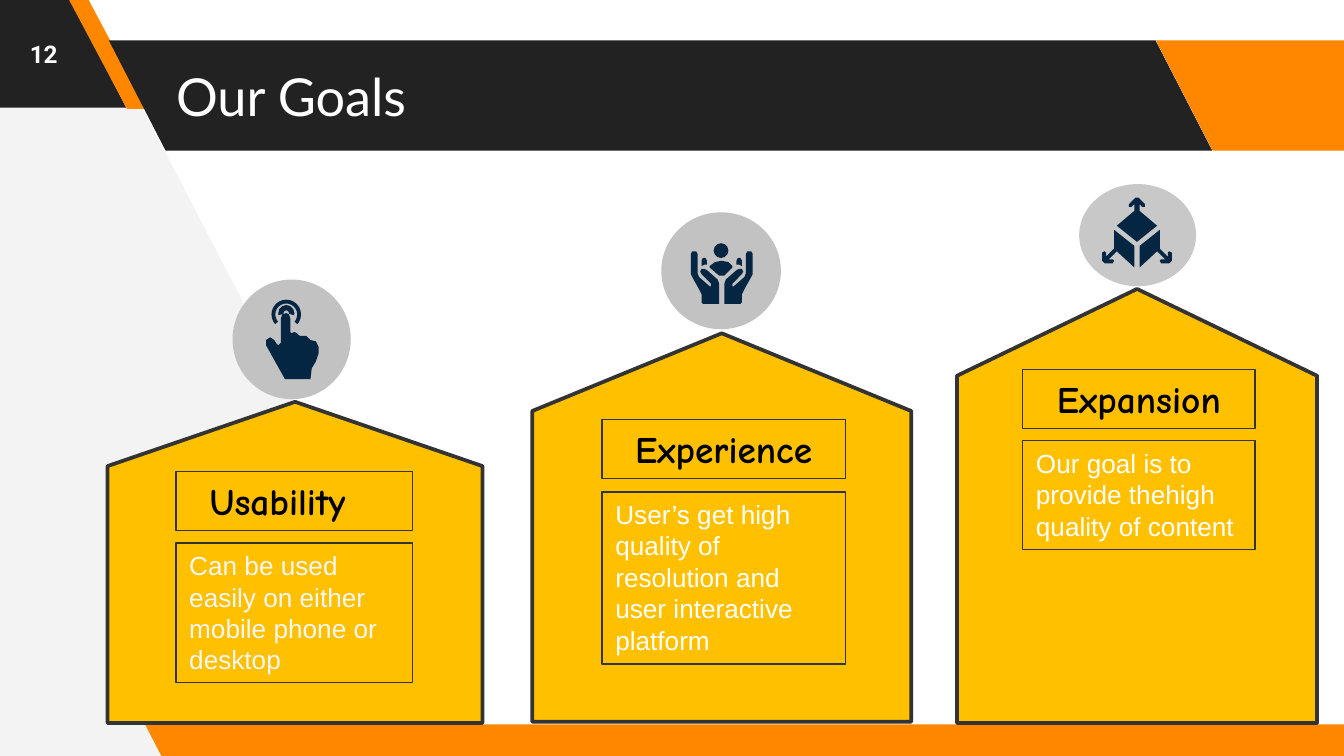
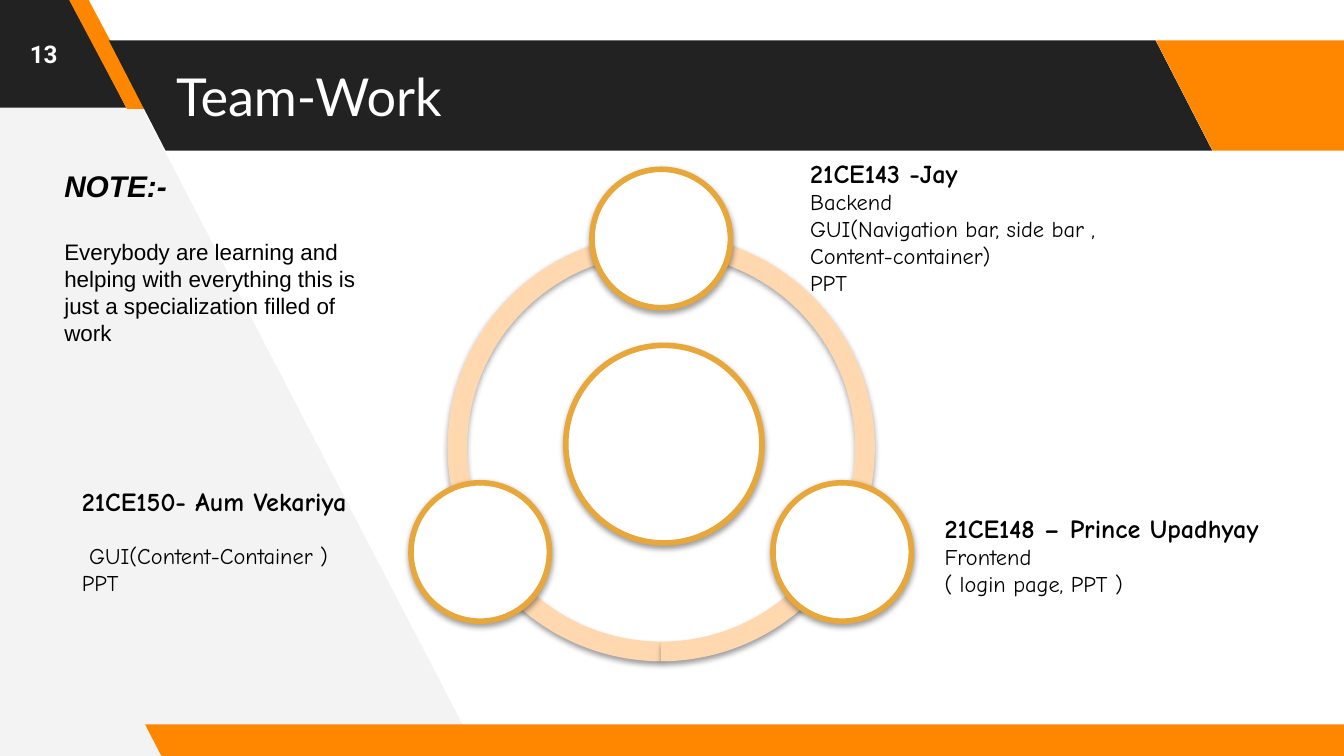
import math
from dataclasses import dataclass

from lxml import etree
from pptx import Presentation
from pptx.dml.color import RGBColor
from pptx.enum.shapes import MSO_SHAPE
from pptx.enum.text import MSO_ANCHOR, MSO_AUTO_SIZE, PP_ALIGN
from pptx.oxml.ns import qn
from pptx.util import Inches, Pt

ELLIPSE, RECT, ARC = MSO_SHAPE.OVAL, MSO_SHAPE.RECTANGLE, MSO_SHAPE.BLOCK_ARC
SLANTED, HOUSE = MSO_SHAPE.PARALLELOGRAM, MSO_SHAPE.FLOWCHART_OFFPAGE_CONNECTOR
TOP, MIDDLE = MSO_ANCHOR.TOP, MSO_ANCHOR.MIDDLE
LEFT, CENTER = PP_ALIGN.LEFT, PP_ALIGN.CENTER
NO_AUTOFIT = MSO_AUTO_SIZE.NONE
TITLE_ONLY = 5

COLORS = {
    "white": "FFFFFF", "black": "000000", "dark": "222222", "orange": "FF8700",
    "side": "F3F3F3", "gold": "FFC000", "edge": "333333", "mist": "F6F6F6",
    "disc": "C2C2C2", "pale disc": "C8C8C8", "navy": "052643",
    "ring": "FFD8B0", "amber": "E7A73A",
}
BODY, HAND, TITLE, NUMBER = "Arial", "Comic Neue", "Lato", "Roboto"

Box = tuple[float, float, float, float]
Points = list[tuple[float, float]]


@dataclass(frozen=True)
class Band:
    box: Box
    color: str
    slant: float = 0.515


@dataclass(frozen=True)
class Goal:
    name: str
    detail: str
    house: Box
    name_box: Box
    detail_top: float
    detail_height: float
    disc: Box
    disc_color: str = "disc"
    detail_color: str = "white"
    name_align: int = CENTER
    name_inset: float = 0.1


@dataclass(frozen=True)
class Note:
    box: Box
    heading: str
    lines: tuple[str, ...]
    gap: float = 0
    font: str = HAND
    heading_size: int = 14
    italic: bool = False


BANDS = (
    Band((-0.99, -0.02, 1.93, 0.82), "dark"),
    Band((0.51, -0.01, 0.58, 0.82), "orange", 0.75),
    Band((0.81, 0.3, 8.21, 0.82), "dark"),
    Band((8.6, 0.3, 1.92, 0.82), "orange"),
    Band((1.08, 5.39, 9.15, 0.25), "orange"),
)
SIDE_PANEL = [(-0.06, -0.04), (0.62, -0.04), (3.56, 5.62), (-0.02, 5.66)]

GOALS = (
    Goal("Usability", "Can be used easily on either mobile phone or desktop",
         (0.8, 2.99, 2.79, 2.39), (1.31, 3.51, 1.76, 0.44), 4.04, 1.04,
         (1.73, 2.08, 0.88, 0.89), detail_color="mist",
         name_align=LEFT, name_inset=0.25),
    Goal("Experience",
         "User’s get high quality of resolution and user interactive platform",
         (3.96, 2.48, 2.82, 2.89), (4.48, 3.12, 1.81, 0.44), 3.66, 1.28,
         (4.92, 1.58, 0.89, 0.87)),
    Goal("Expansion", "Our goal is to provide thehigh quality of content",
         (7.12, 2.15, 2.68, 3.23), (7.61, 2.75, 1.73, 0.44), 3.28, 0.81,
         (8.03, 1.37, 0.87, 0.76), disc_color="pale disc"),
)

POINTING_HAND = [
    (2.09, 2.37), (2.1, 2.34), (2.13, 2.33), (2.15, 2.34), (2.16, 2.37),
    (2.16, 2.47), (2.17, 2.48), (2.19, 2.47), (2.21, 2.48), (2.23, 2.5),
    (2.26, 2.5), (2.28, 2.5), (2.3, 2.52), (2.31, 2.53), (2.35, 2.54),
    (2.37, 2.58), (2.37, 2.63), (2.35, 2.69), (2.32, 2.74), (2.31, 2.82),
    (2.12, 2.82), (1.98, 2.57), (1.98, 2.53), (2.01, 2.51), (2.04, 2.53),
    (2.06, 2.56), (2.07, 2.57), (2.09, 2.55),
]
CARING_HAND = [
    (5.14, 1.89), (5.15, 1.87), (5.16, 1.87), (5.18, 1.87), (5.19, 1.89),
    (5.19, 2.03), (5.2, 2.06), (5.28, 2.13), (5.29, 2.13), (5.29, 2.11),
    (5.22, 2.04), (5.21, 2.02), (5.22, 2), (5.24, 2), (5.26, 2.01),
    (5.34, 2.08), (5.35, 2.11), (5.35, 2.26), (5.23, 2.26), (5.22, 2.25),
    (5.22, 2.19), (5.2, 2.15), (5.15, 2.06), (5.14, 2.04),
]
SIDE_FINGER = [(5.22, 1.98), (5.22, 1.94), (5.23, 1.92), (5.25, 1.92),
               (5.26, 1.94), (5.26, 1.97), (5.24, 1.97)]
SHOULDERS = [(5.28, 1.98), (5.32, 1.95), (5.37, 1.94), (5.42, 1.95),
             (5.45, 1.98), (5.45, 1.99), (5.39, 2.05), (5.35, 2.05), (5.28, 1.99)]
CUBE_SIDE = [
    (8.29, 1.71), (8.29, 1.85), (8.23, 1.91), (8.23, 1.88), (8.22, 1.87),
    (8.2, 1.88), (8.2, 1.94), (8.22, 1.96), (8.28, 1.96), (8.29, 1.94),
    (8.28, 1.93), (8.25, 1.93), (8.31, 1.87), (8.44, 1.99), (8.44, 1.83),
]
CUBE_TOP_HALF = [
    (8.46, 1.47), (8.45, 1.47), (8.4, 1.52), (8.4, 1.54), (8.42, 1.54),
    (8.44, 1.52), (8.44, 1.57), (8.31, 1.68), (8.46, 1.8),
]
PERSON_AXIS, CUBE_AXIS = 5.37, 8.46

RING_CENTER, RING_SIZE, ORBIT = (4.92, 3.33), 3.18, 1.555
RING_ARCS = ((90, 162), (18, 90), (162, 18))
HUB = (4.21, 2.57, 1.46, 1.47)
MEMBER_SIZE = 1.03
NOTES = (
    Note((0.51, 3.56, 2.82, 0.94), "21CE150- Aum Vekariya",
         (" GUI(Content-Container )", "PPT"), gap=14),
    Note((6.93, 3.76, 3.26, 0.94), "21CE148 – Prince Upadhyay",
         ("Frontend", "( login page, PPT )")),
    Note((5.93, 1.12, 2.58, 1.14), "21CE143 -Jay",
         ("Backend", "GUI(Navigation bar, side bar , Content-container)", "PPT")),
    Note((0.38, 1.2, 2.52, 1.45), "NOTE:-",
         ("Everybody are learning and helping with everything this is just "
          "a specialization filled of work",),
         gap=18.4, font=BODY, heading_size=16, italic=True),
)


def rgb(name: str) -> RGBColor:
    return RGBColor.from_string(COLORS[name])


def paint(shape, fill: str, line: str | None = None, width: float = 0) -> None:
    shape.shadow.inherit = False
    shape.fill.solid()
    shape.fill.fore_color.rgb = rgb(fill)
    if line:
        shape.line.color.rgb = rgb(line)
        shape.line.width = Pt(width)
    else:
        shape.line.fill.background()


def add_shape(slide, kind, box: Box, fill: str, line: str | None = None,
              width: float = 0):
    shape = slide.shapes.add_shape(kind, *map(Inches, box))
    paint(shape, fill, line, width)
    return shape


def add_arc(slide, box: Box, start: float, end: float, thickness: float, fill: str):
    """Add a block arc running clockwise between two angles in degrees."""
    arc = add_shape(slide, ARC, box, fill)
    for index, value in enumerate((start * 0.6, end * 0.6, thickness)):
        arc.adjustments[index] = value
    return arc


def add_outline(slide, points: Points, fill: str):
    first, *rest = [(Inches(x), Inches(y)) for x, y in points]
    builder = slide.shapes.build_freeform(*first)
    builder.add_line_segments(rest, close=True)
    shape = builder.convert_to_shape()
    paint(shape, fill)
    return shape


def mirror(points: Points, axis: float) -> Points:
    return [(2 * axis - x, y) for x, y in points]


def cast_shadow(shape) -> None:
    effects = shape.element.spPr.find(qn("a:effectLst"))
    shadow = etree.SubElement(effects, qn("a:outerShdw"), blurRad="40000",
                              dist="20000", dir="5400000", rotWithShape="0")
    color = etree.SubElement(shadow, qn("a:srgbClr"), val=COLORS["black"])
    etree.SubElement(color, qn("a:alpha"), val="38000")


def set_frame(frame, anchor=TOP, side: float = 0.1, edge: float = 0.05) -> None:
    frame.word_wrap = True
    frame.auto_size = NO_AUTOFIT
    frame.vertical_anchor = anchor
    frame.margin_left, frame.margin_right = Inches(side), Inches(0.1)
    frame.margin_top = frame.margin_bottom = Inches(edge)


def write(frame, text: str, *, size: float, color: str = "black", font: str = BODY,
          bold: bool = False, italic: bool = False, align=LEFT,
          before: float = 0) -> None:
    """Write one paragraph, starting with the frame's empty first one."""
    first = frame.paragraphs[0]
    paragraph = frame.add_paragraph() if first.runs else first
    paragraph.alignment = align
    if before:
        paragraph.space_before = Pt(before)
    run = paragraph.add_run()
    run.text = text
    run.font.size, run.font.name = Pt(size), font
    run.font.bold, run.font.italic = bold, italic
    run.font.color.rgb = rgb(color)


def decorate_layout(layout, slide) -> None:
    """Draw the shared panel and bands, then move them to the layout."""
    for placeholder in list(layout.placeholders):
        if placeholder.placeholder_format.idx:
            placeholder.element.getparent().remove(placeholder.element)
    parts = [add_outline(slide, SIDE_PANEL, "side")]
    for band in BANDS:
        shape = add_shape(slide, SLANTED, band.box, band.color)
        shape.adjustments[0] = band.slant
        shape.element.spPr.xfrm.set("flipH", "1")
        parts.append(shape)
    for index, part in enumerate(parts):
        layout.shapes.element.insert(2 + index, part.element)


def add_heading(slide, title: str, number: int) -> None:
    heading = slide.shapes.title
    heading.left, heading.top = Inches(1.21), Inches(0.3)
    heading.width, heading.height = Inches(7.35), Inches(0.82)
    set_frame(heading.text_frame, MIDDLE, edge=0.1)
    write(heading.text_frame, title, size=28, color="white", font=TITLE)
    corner = slide.shapes.add_textbox(0, 0, Inches(0.65), Inches(0.8)).text_frame
    set_frame(corner, MIDDLE, edge=0.1)
    write(corner, str(number), size=13, color="white", font=NUMBER, bold=True,
          align=CENTER)


def add_goal(slide, goal: Goal) -> None:
    add_shape(slide, HOUSE, goal.house, "gold", "edge", 2).rotation = 180
    name = add_shape(slide, RECT, goal.name_box, "gold", "edge", 0.75).text_frame
    set_frame(name, side=goal.name_inset)
    write(name, goal.name, size=20, font=HAND, bold=True, align=goal.name_align)
    left, _, width, _ = goal.name_box
    detail_box = (left, goal.detail_top, width, goal.detail_height)
    detail = add_shape(slide, RECT, detail_box, "gold", "edge", 0.75).text_frame
    set_frame(detail)
    write(detail, goal.detail, size=14, color=goal.detail_color)
    add_shape(slide, ELLIPSE, goal.disc, goal.disc_color)


def add_goal_icons(slide) -> None:
    add_arc(slide, (2.02, 2.23, 0.22, 0.22), 139, 41, 0.13, "navy")
    add_arc(slide, (2.07, 2.27, 0.12, 0.12), 165, 15, 0.33, "navy")
    add_shape(slide, ELLIPSE, (5.31, 1.81, 0.11, 0.11), "navy")
    cube_top = CUBE_TOP_HALF + mirror(CUBE_TOP_HALF, CUBE_AXIS)[::-1]
    for points in (POINTING_HAND, SHOULDERS, cube_top):
        add_outline(slide, points, "navy")
    for points, axis in ((CARING_HAND, PERSON_AXIS), (SIDE_FINGER, PERSON_AXIS),
                         (CUBE_SIDE, CUBE_AXIS)):
        add_outline(slide, points, "navy")
        add_outline(slide, mirror(points, axis), "navy")


def centered(x: float, y: float, size: float) -> Box:
    return x - size / 2, y - size / 2, size, size


def add_team_ring(slide) -> None:
    x, y = RING_CENTER
    for start, end in RING_ARCS:
        cast_shadow(add_arc(slide, centered(x, y, RING_SIZE), start, end, 0.046, "ring"))
    members = [centered(x + ORBIT * math.cos(angle), y + ORBIT * math.sin(angle),
                        MEMBER_SIZE)
               for angle in map(math.radians, (-90, 30, 150))]
    for box in (HUB, *members):
        cast_shadow(add_shape(slide, ELLIPSE, box, "white", "amber", 3))


def add_note(slide, note: Note) -> None:
    frame = slide.shapes.add_textbox(*map(Inches, note.box)).text_frame
    set_frame(frame)
    write(frame, note.heading, size=note.heading_size, font=note.font, bold=True,
          italic=note.italic)
    for index, line in enumerate(note.lines):
        write(frame, line, size=12, font=note.font, before=0 if index else note.gap)


def main() -> None:
    deck = Presentation()
    deck.slide_width = Inches(10)
    deck.slide_height = deck.slide_width * 9 // 16
    layout = deck.slide_layouts[TITLE_ONLY]

    goals = deck.slides.add_slide(layout)
    decorate_layout(layout, goals)
    add_heading(goals, "Our Goals", 12)
    for goal in GOALS:
        add_goal(goals, goal)
    add_goal_icons(goals)

    team = deck.slides.add_slide(layout)
    add_heading(team, "Team-Work", 13)
    add_team_ring(team)
    for note in NOTES:
        add_note(team, note)

    deck.save("out.pptx")


if __name__ == "__main__":
    main()
